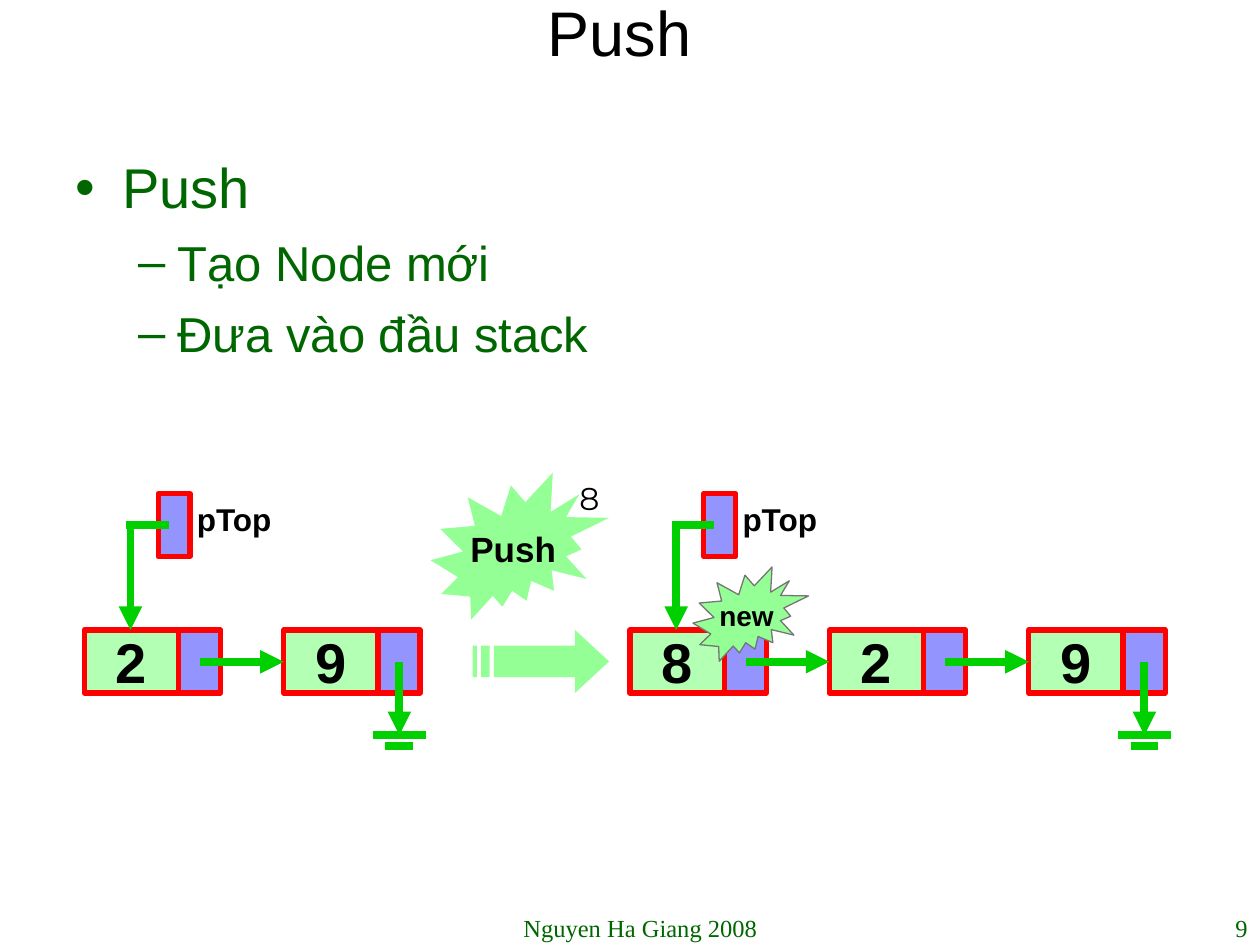
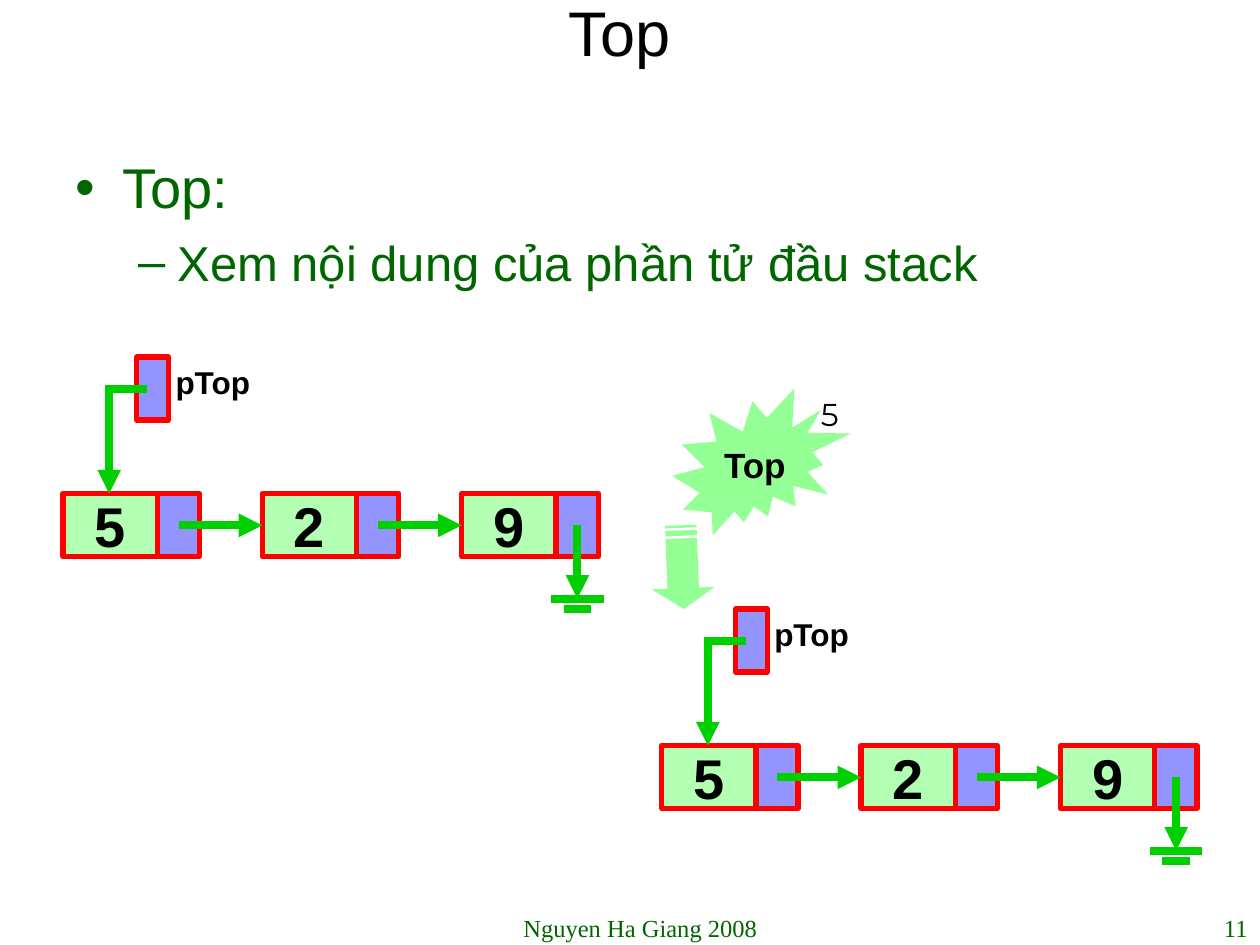
"""Build two slides that show the push and top operations of a linked stack."""
import lxml.etree
import pptx
import pptx.dml.color
import pptx.enum.shapes
import pptx.enum.text
import pptx.oxml
import pptx.oxml.ns
import pptx.util

Cm = pptx.util.Cm
Pt = pptx.util.Pt
RGBColor = pptx.dml.color.RGBColor
Align = pptx.enum.text.PP_ALIGN
Anchor = pptx.enum.text.MSO_ANCHOR
Preset = pptx.enum.shapes.MSO_SHAPE
qn = pptx.oxml.ns.qn

COLOURS = {
    "paper": "FFFFFF", "ink": "000000", "text": "006600", "mint": "94FF94",
    "link": "0000FF", "border": "FF0000", "arrow": "00CF00", "burst edge": "757575",
}

TEXT_STYLES = {
    "title": {"colour": "ink", "align": Align.CENTER, "font": {"name": "Arial", "size": Pt(36)}},
    "heading": {"colour": "text", "before": 8, "margin": 0.95, "indent": -0.95, "bullet": "•",
                "font": {"name": "Arial", "size": Pt(32)}},
    "item": {"colour": "text", "before": 7, "margin": 2.06, "indent": -0.79, "bullet": "–",
             "font": {"name": "Arial", "size": Pt(28)}},
    "value": {"colour": "ink", "align": Align.CENTER,
              "font": {"name": "Arial", "size": Pt(32), "bold": True}},
    "label": {"colour": "ink", "font": {"name": "Arial", "size": Pt(18), "bold": True}},
    "burst": {"colour": "ink", "align": Align.CENTER,
              "font": {"name": "Arial", "size": Pt(20), "bold": True}},
    "small burst": {"colour": "ink", "align": Align.CENTER,
                    "font": {"name": "Arial", "size": Pt(16), "bold": True}},
    "operand": {"colour": "ink", "outline": True, "font": {"name": "Montserrat", "size": Pt(18)}},
    "footer": {"colour": "text", "align": Align.CENTER,
               "font": {"name": "Times New Roman", "size": Pt(14)}},
    "number": {"colour": "text", "align": Align.RIGHT,
               "font": {"name": "Times New Roman", "size": Pt(14)}},
}

NODE = {"fill": "mint", "opacity": 70, "line": "border", "width": 3}
LINK = {"fill": "link", "opacity": 42, "line": "border", "width": 3}
BURST = {"fill": "mint"}
EDGED_BURST = {"fill": "mint", "line": "burst edge", "width": 0.75}

NODE_WIDTH, LINK_WIDTH, NODE_HEIGHT, NODE_STEP = 1.9, 0.85, 1.27, 4.02
LINK_CENTRE, MIDDLE = 2.33, 0.64
GROUND_TOP = 2.12
POINTER_RISE = 2.75

SLIDES = [
    {
        "title": "Push", "number": "9",
        "body": [("Push", "heading"), ("Tạo Node mới", "item"), ("Đưa vào đầu stack", "item")],
        "chains": [(1.7, 12.7, "29"), (12.7, 12.7, "829")],
        "bursts": [((8.68, 9.53, 3.6, 2.96), "Push", "burst", BURST),
                   ((13.97, 11.43, 2.33, 1.9), "new", "small burst", EDGED_BURST)],
        "operand": ((11.43, 9.53, 1.06, 1.5), "8"),
        "block arrow": ((9.53, 12.7, 2.75, 1.27), 0),
    },
    {
        "title": "Top", "number": "11",
        "body": [("Top:", "heading"), ("Xem nội dung của phần tử đầu stack", "item")],
        "chains": [(1.27, 9.95, "529"), (13.34, 15.03, "529")],
        "bursts": [((13.55, 7.83, 3.6, 2.96), "Top", "burst", BURST)],
        "operand": ((16.3, 7.83, 1.06, 1.5), "5"),
        "block arrow": ((12.91, 10.8, 1.69, 1.27), 87.7),
    },
]


def add_box(slide, frame, lines=(), preset=None, look=None, anchor=Anchor.MIDDLE, wrap=False):
    """Add a preset shape, or a text box when no preset is given."""
    box = [Cm(length) for length in frame]
    if preset is None:
        shape = slide.shapes.add_textbox(*box)
    else:
        shape = slide.shapes.add_shape(preset, *box)
        shape.shadow.inherit = False
        shape.fill.solid()
        shape.fill.fore_color.rgb = RGBColor.from_string(COLOURS[look["fill"]])
        if "opacity" in look:
            colour = shape.fill._xPr.find(qn("a:solidFill"))[0]
            alpha = lxml.etree.SubElement(colour, qn("a:alpha"))
            alpha.set("val", str(look["opacity"] * 1000))
        if "line" in look:
            shape.line.color.rgb = RGBColor.from_string(COLOURS[look["line"]])
            shape.line.width = Pt(look["width"])
        else:
            shape.line.fill.background()
    frame_format = {"word_wrap": wrap, "vertical_anchor": anchor}
    for name, value in frame_format.items():
        setattr(shape.text_frame, name, value)
    for index, (text, style_name) in enumerate(lines):
        style = TEXT_STYLES[style_name]
        text_frame = shape.text_frame
        paragraph = text_frame.add_paragraph() if index else text_frame.paragraphs[0]
        paragraph.alignment = style.get("align", Align.LEFT)
        run = paragraph.add_run()
        run.text = text
        for name, value in style["font"].items():
            setattr(run.font, name, value)
        run.font.color.rgb = RGBColor.from_string(COLOURS[style["colour"]])
        if "bullet" in style:
            paragraph.space_before = Pt(style["before"])
            properties = paragraph._p.get_or_add_pPr()
            properties.set("marL", str(Cm(style["margin"])))
            properties.set("indent", str(Cm(style["indent"])))
            bullet_colour = lxml.etree.SubElement(properties, qn("a:buClr"))
            lxml.etree.SubElement(bullet_colour, qn("a:srgbClr")).set("val", COLOURS["text"])
            lxml.etree.SubElement(properties, qn("a:buFont")).set("typeface", "Arial")
            lxml.etree.SubElement(properties, qn("a:buChar")).set("char", style["bullet"])
        if "outline" in style:
            outline = pptx.oxml.parse_xml(
                '<a:ln xmlns:a="http://schemas.openxmlformats.org/drawingml/2006/main" w="9525">'
                f'<a:solidFill><a:srgbClr val="{COLOURS["ink"]}"/></a:solidFill></a:ln>')
            run._r.get_or_add_rPr().insert(0, outline)
    return shape


def add_line(slide, start_x, start_y, end_x, end_y, arrowhead=False):
    """Add a thick green line, with an arrowhead at its end on request."""
    ends = [Cm(length) for length in (start_x, start_y, end_x, end_y)]
    connector = slide.shapes.add_connector(pptx.enum.shapes.MSO_CONNECTOR.STRAIGHT, *ends)
    connector.line.color.rgb = RGBColor.from_string(COLOURS["arrow"])
    connector.line.width = Pt(4.5)
    if arrowhead:
        tail = lxml.etree.SubElement(connector.line._get_or_add_ln(), qn("a:tailEnd"))
        tail.set("type", "triangle")
    lxml.etree.SubElement(connector._element.spPr, qn("a:effectLst"))


presentation = pptx.Presentation()
presentation.slide_width = Cm(25.4)
presentation.slide_height = Cm(19.05)

for content in SLIDES:
    slide = presentation.slides.add_slide(presentation.slide_layouts[6])
    slide.background.fill.solid()
    slide.background.fill.fore_color.rgb = RGBColor.from_string(COLOURS["paper"])

    add_box(slide, (1.06, 0, 22.86, 1.27), [(content["title"], "title")], wrap=True)
    add_box(slide, (1.27, 2.96, 22.86, 14.6), content["body"], anchor=Anchor.TOP, wrap=True)

    for left, top, values in content["chains"]:
        for index, value in enumerate(values):
            x = left + index * NODE_STEP
            add_box(slide, (x, top, NODE_WIDTH, NODE_HEIGHT), [(value, "value")],
                    Preset.RECTANGLE, NODE)
            add_box(slide, (x + NODE_WIDTH, top, LINK_WIDTH, NODE_HEIGHT),
                    preset=Preset.RECTANGLE, look=LINK)
        for index in range(len(values) - 1):
            x = left + index * NODE_STEP
            add_line(slide, x + LINK_CENTRE, top + MIDDLE, x + NODE_STEP, top + MIDDLE, True)

        ground_x = left + (len(values) - 1) * NODE_STEP + LINK_CENTRE
        add_line(slide, ground_x, top + MIDDLE, ground_x, top + GROUND_TOP, True)
        for half_width, drop in ((0.53, 0), (0.28, 0.21)):
            y = top + GROUND_TOP + drop
            add_line(slide, ground_x - half_width, y, ground_x + half_width, y)

        pointer_top = top - POINTER_RISE
        pointer_middle = pointer_top + MIDDLE
        add_box(slide, (left + 1.49, pointer_top, 0.64, NODE_HEIGHT),
                preset=Preset.RECTANGLE, look=LINK)
        add_line(slide, left + 1.7, pointer_middle, left + 0.85, pointer_middle)
        add_line(slide, left + 0.93, pointer_middle, left + 0.93, top, True)
        add_box(slide, (left + 2.02, pointer_top, 2.06, 1.02), [("pTop", "label")],
                anchor=Anchor.TOP)

    for frame, text, style_name, look in content["bursts"]:
        add_box(slide, frame, [(text, style_name)], Preset.EXPLOSION2, look)
    operand_frame, operand = content["operand"]
    add_box(slide, operand_frame, [(operand, "operand")], anchor=Anchor.TOP)

    arrow_frame, rotation = content["block arrow"]
    builder = slide.shapes.build_freeform(5, 1, scale=10000)
    builder.add_line_segments([(24, 1), (24, 0), (32, 2), (24, 4), (24, 3), (5, 3)])
    for stripe_left, stripe_right in ((0, 1), (2, 4)):
        builder.move_to(stripe_left, 1)
        builder.add_line_segments([(stripe_right, 1), (stripe_right, 3), (stripe_left, 3)])
    block_arrow = builder.convert_to_shape()
    for name, length in zip(("left", "top", "width", "height"), arrow_frame):
        setattr(block_arrow, name, Cm(length))
    block_arrow.rotation = rotation
    block_arrow.shadow.inherit = False
    block_arrow.fill.solid()
    block_arrow.fill.fore_color.rgb = RGBColor.from_string(COLOURS["mint"])
    block_arrow.line.fill.background()

    add_box(slide, (8.89, 18.29, 8.04, 0.69), [("Nguyen Ha Giang 2008", "footer")],
            anchor=Anchor.TOP, wrap=True)
    add_box(slide, (19.48, 18.29, 5.92, 0.69), [(content["number"], "number")],
            anchor=Anchor.TOP, wrap=True)

presentation.save("out.pptx")
